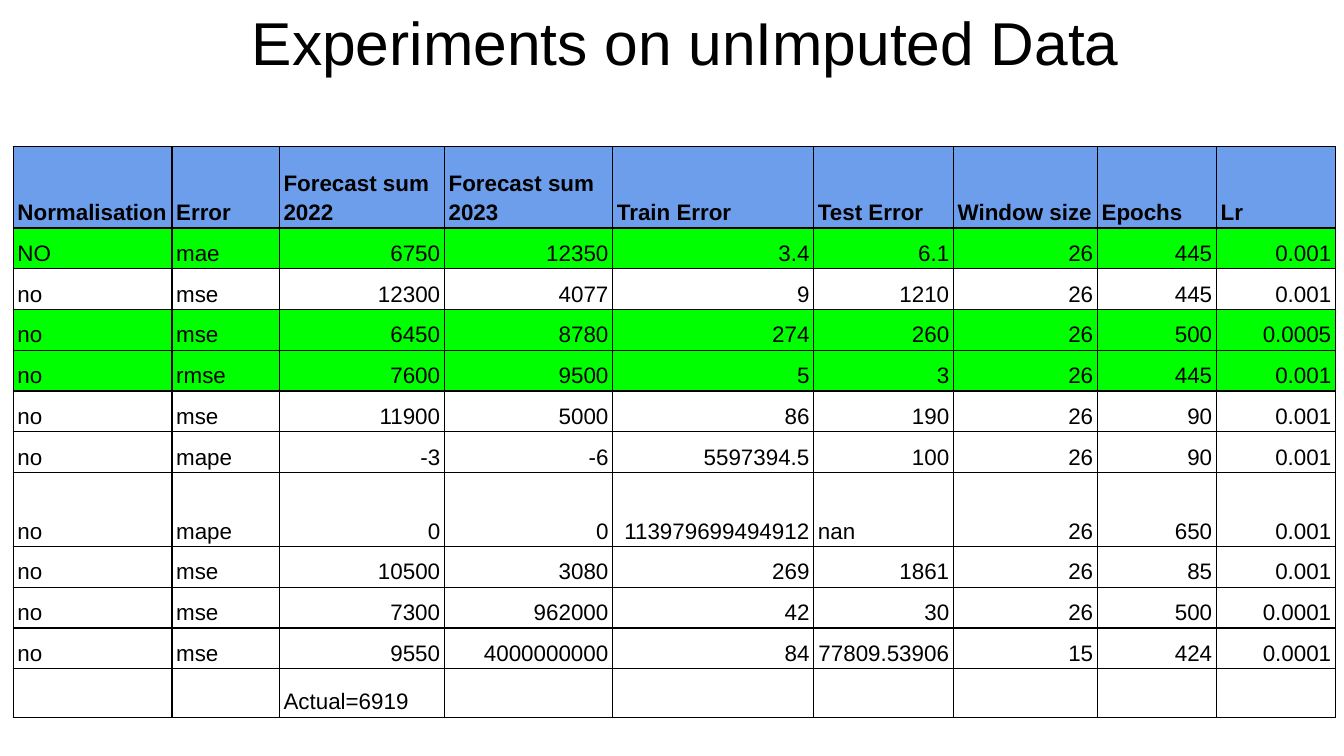
import pptx
import pptx.dml.color
import pptx.enum.text
import pptx.oxml
import pptx.oxml.ns
import pptx.util
from pptx.util import Cm

BLACK, BLUE, GREEN = "000000", "6D9EEB", "00FF00"
FONT = "Arial"
COLUMN_WIDTHS = [3, 2.03, 3.12, 3.18, 3.8, 2.64, 2.72, 2.25, 2.25]
ROW_HEIGHT = 0.77
SPECIAL_HEIGHTS = {0: 1.54, 7: 1.4, 11: 0.92}
HIGHLIGHTED_ROWS = {1, 3, 4}
ROWS = [
    ["Normalisation", "Error", "Forecast sum 2022", "Forecast sum 2023",
     "Train Error", "Test Error", "Window size", "Epochs", "Lr"],
    ["NO", "mae", "6750", "12350", "3.4", "6.1", "26", "445", "0.001"],
    ["no", "mse", "12300", "4077", "9", "1210", "26", "445", "0.001"],
    ["no", "mse", "6450", "8780", "274", "260", "26", "500", "0.0005"],
    ["no", "rmse", "7600", "9500", "5", "3", "26", "445", "0.001"],
    ["no", "mse", "11900", "5000", "86", "190", "26", "90", "0.001"],
    ["no", "mape", "-3", "-6", "5597394.5", "100", "26", "90", "0.001"],
    ["no", "mape", "0", "0", "113979699494912", "nan", "26", "650", "0.001"],
    ["no", "mse", "10500", "3080", "269", "1861", "26", "85", "0.001"],
    ["no", "mse", "7300", "962000", "42", "30", "26", "500", "0.0001"],
    ["no", "mse", "9550", "4000000000", "84", "77809.53906", "15", "424", "0.0001"],
    ["", "", "Actual=6919", "", "", "", "", "", ""],
]


def rgb(color):
    return pptx.dml.color.RGBColor.from_string(color)


def set_font(p, size, bold=False):
    p.font.name = FONT
    p.font.size = pptx.util.Pt(size)
    p.font.bold = bold
    p.font.color.rgb = rgb(BLACK)


def is_number(text):
    return text.lstrip("-").replace(".", "").isdigit()


def add_title(slide, text):
    sp = slide.shapes.title
    sp.left, sp.top, sp.width, sp.height = Cm(1.12), Cm(0.18), Cm(23.67), Cm(2.34)
    tf = sp.text_frame
    tf.text = text
    tf.auto_size = pptx.enum.text.MSO_AUTO_SIZE.NONE
    tf.vertical_anchor = pptx.enum.text.MSO_ANCHOR.MIDDLE
    tf.margin_left = tf.margin_right = Cm(0.25)
    tf.margin_top, tf.margin_bottom = 0, Cm(1.12)
    p = tf.paragraphs[0]
    p.alignment = pptx.enum.text.PP_ALIGN.CENTER
    set_font(p, 32.4)


def set_borders(cell, color, width):
    """Line all four sides; call before filling, as lines precede the fill in tcPr."""
    tc_pr = cell._tc.get_or_add_tcPr()
    for side in ("lnL", "lnR", "lnT", "lnB"):
        tc_pr.append(pptx.oxml.parse_xml(
            f'<a:{side} {pptx.oxml.ns.nsdecls("a")} w="{pptx.util.Pt(width)}">'
            f'<a:solidFill><a:srgbClr val="{color}"/></a:solidFill></a:{side}>'))


def format_cell(cell, text, fill, bold):
    cell.text = text
    cell.vertical_anchor = pptx.enum.text.MSO_ANCHOR.BOTTOM
    cell.margin_left = cell.margin_right = Cm(0.08)
    cell.margin_top = cell.margin_bottom = Cm(0.05)
    set_borders(cell, BLACK, 0.75)
    if fill:
        cell.fill.solid()
        cell.fill.fore_color.rgb = rgb(fill)
    else:
        cell.fill.background()
    p = cell.text_frame.paragraphs[0]
    p.line_spacing = 1.15
    if is_number(text):
        p.alignment = pptx.enum.text.PP_ALIGN.RIGHT
    set_font(p, 12, bold)


def add_results_table(slide):
    heights = [SPECIAL_HEIGHTS.get(i, ROW_HEIGHT) for i in range(len(ROWS))]
    table = slide.shapes.add_table(
        len(ROWS), len(COLUMN_WIDTHS), Cm(0.25), Cm(2.77),
        Cm(sum(COLUMN_WIDTHS)), Cm(sum(heights))).table
    table.first_row = table.horz_banding = False
    for column, width in zip(table.columns, COLUMN_WIDTHS):
        column.width = Cm(width)
    for i, texts in enumerate(ROWS):
        table.rows[i].height = Cm(heights[i])
        fill = BLUE if i == 0 else GREEN if i in HIGHLIGHTED_ROWS else None
        for j, text in enumerate(texts):
            format_cell(table.cell(i, j), text, fill, bold=i == 0)


def main():
    prs = pptx.Presentation()
    prs.slide_width, prs.slide_height = Cm(25.4), Cm(14.29)
    slide = prs.slides.add_slide(prs.slide_layouts[5])
    add_title(slide, "Experiments on unImputed Data")
    add_results_table(slide)
    prs.save("out.pptx")


if __name__ == "__main__":
    main()
